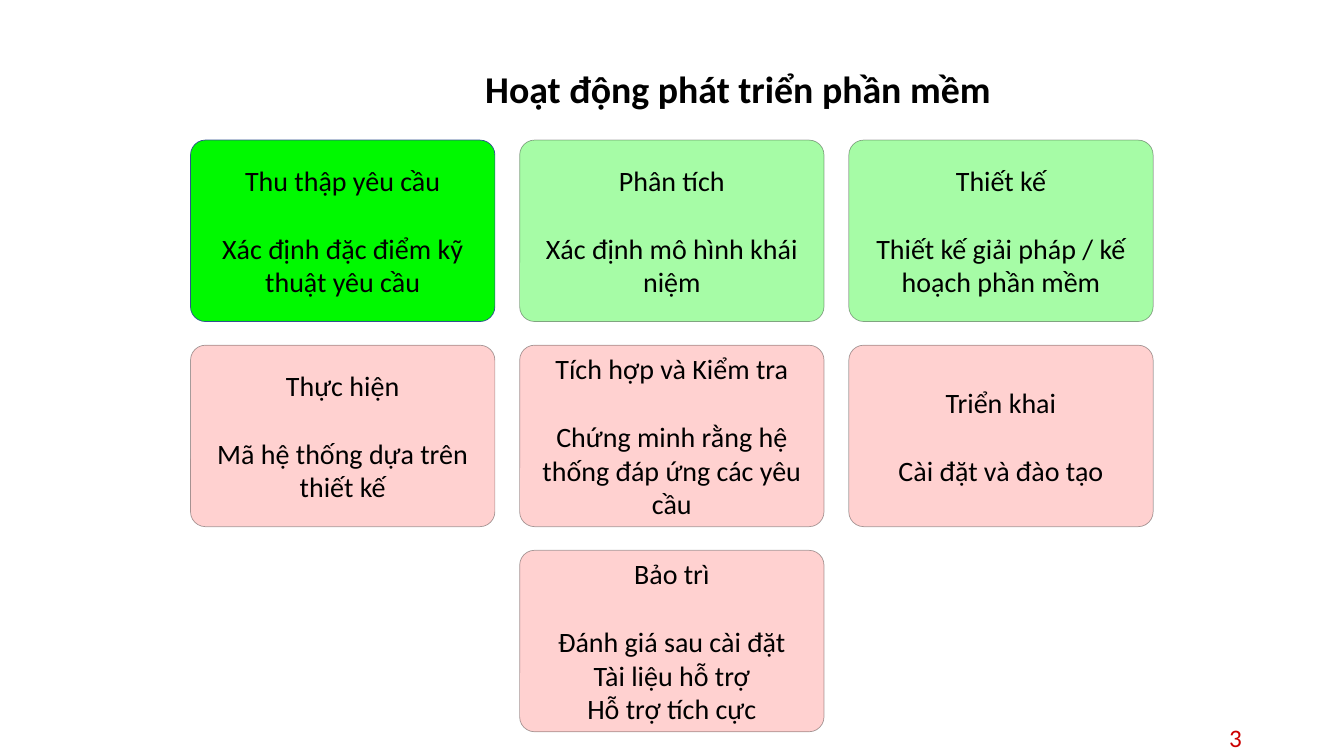
import pptx
import pptx.util
import pptx.dml.color
import pptx.enum.shapes
import pptx.enum.text
from lxml import etree

Pt = pptx.util.Pt
ALIGN = pptx.enum.text.PP_ALIGN
MIDDLE = pptx.enum.text.MSO_ANCHOR.MIDDLE
COLOURS = {
    "text": "000000",
    "page_number": "CC0000",
    "current": "00F900",
    "current_edge": "2F528F",
    "design": "00F900",
    "delivery": "FF7E79",
    "edge": "000000",
}
FONT = "Calibri"
TINT = 35  # opacity of the pale cards, in percent
CARD_W, CARD_H = 217.4, 129.6
PITCH_X, PITCH_Y = 235.1, 146.5
BODY_GAP = 24.4  # one line between heading and body

# column, row, kind, heading, body lines
ACTIVITIES = [
    (0, 0, "current", "Thu thập yêu cầu", ["Xác định đặc điểm kỹ thuật yêu cầu"]),
    (1, 0, "design", "Phân tích", ["Xác định mô hình khái niệm"]),
    (2, 0, "design", "Thiết kế", ["Thiết kế giải pháp / kế hoạch phần mềm"]),
    (0, 1, "delivery", "Thực hiện", ["Mã hệ thống dựa trên thiết kế"]),
    (1, 1, "delivery", "Tích hợp và Kiểm tra",
     ["Chứng minh rằng hệ thống đáp ứng các yêu cầu"]),
    (2, 1, "delivery", "Triển khai", ["Cài đặt và đào tạo"]),
    (1, 2, "delivery", "Bảo trì",
     ["Đánh giá sau cài đặt", "Tài liệu hỗ trợ", "Hỗ trợ tích cực"]),
]


def colour(name):
    return pptx.dml.color.RGBColor.from_string(COLOURS[name])


def set_all(target, values):
    for key, value in values.items():
        setattr(target, key, value)


def write(paragraph, text, size, ink="text", bold=False, **layout):
    paragraph.text = text
    set_all(paragraph, layout)
    set_all(paragraph.font, {"name": FONT, "size": Pt(size), "bold": bold})
    paragraph.font.color.rgb = colour(ink)


def paint(fill, name, opacity):
    fill.solid()
    fill.fore_color.rgb = colour(name)
    if opacity < 100:
        tone = fill._xPr.find(".//" + pptx.oxml.ns.qn("a:srgbClr"))
        etree.SubElement(tone, pptx.oxml.ns.qn("a:alpha"), val=str(opacity * 1000))


def add_label(slide, left, top, width, height, text, size, **style):
    label = slide.shapes.add_textbox(Pt(left), Pt(top), Pt(width), Pt(height))
    set_all(label.text_frame, {"word_wrap": True, "vertical_anchor": MIDDLE})
    write(label.text_frame.paragraphs[0], text, size, **style)


def add_card(slide, left, top, kind, heading, body):
    card = slide.shapes.add_shape(
        pptx.enum.shapes.MSO_SHAPE.ROUNDED_RECTANGLE,
        Pt(left), Pt(top), Pt(CARD_W), Pt(CARD_H))
    card.adjustments[0] = 0.082
    card.shadow.inherit = False
    current = kind == "current"
    opacity = 100 if current else TINT
    paint(card.fill, kind, opacity)
    card.line.width = Pt(0.5)
    paint(card.line.fill, "current_edge" if current else "edge", opacity)

    frame = card.text_frame
    set_all(frame, {"word_wrap": True, "vertical_anchor": MIDDLE,
                    "margin_left": 0, "margin_right": 0,
                    "margin_top": 0, "margin_bottom": 0})
    write(frame.paragraphs[0], heading, 20, alignment=ALIGN.CENTER)
    for index, line in enumerate(body):
        write(frame.add_paragraph(), line, 20, alignment=ALIGN.CENTER,
              space_before=Pt(0 if index else BODY_GAP))


def add_activity_grid(slide, left, top):
    for column, row, kind, heading, body in ACTIVITIES:
        add_card(slide, left + column * PITCH_X, top + row * PITCH_Y,
                 kind, heading, body)


def main():
    deck = pptx.Presentation()
    set_all(deck, {"slide_width": Pt(960), "slide_height": Pt(540)})
    slide = deck.slides.add_slide(deck.slide_layouts[6])

    # Page number
    add_label(slide, 678.2, 514, 216, 26, "3", 18, ink="page_number",
              alignment=ALIGN.RIGHT)
    # Title
    add_label(slide, 160.6, 28.8, 733, 73.4, "Hoạt động phát triển phần mềm", 27,
              bold=True, alignment=ALIGN.CENTER, line_spacing=0.9)
    # Development activities
    add_activity_grid(slide, 136.1, 100.1)

    deck.save("out.pptx")


if __name__ == "__main__":
    main()
